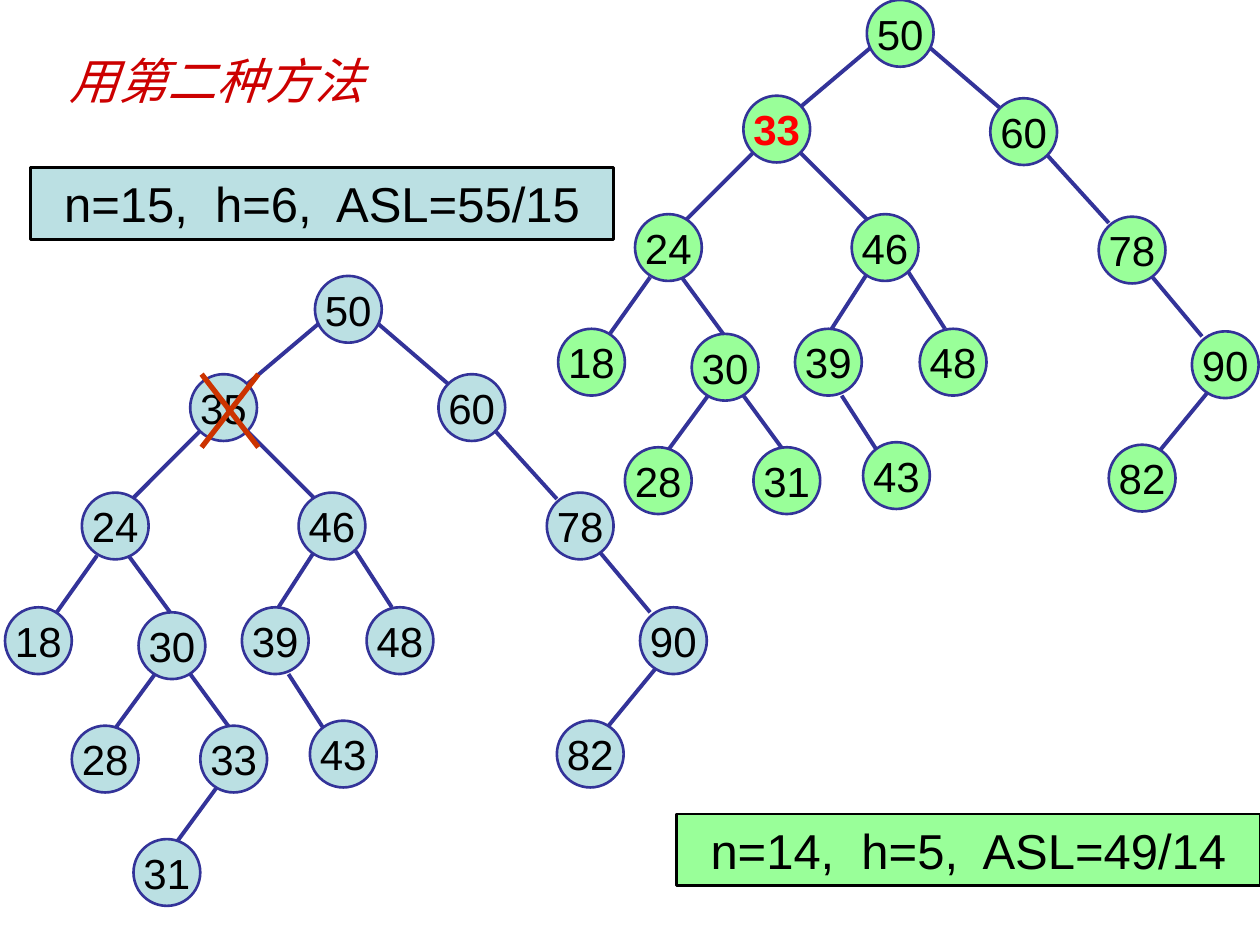
from dataclasses import dataclass

from lxml.etree import SubElement
from pptx import Presentation
from pptx.dml.color import RGBColor
from pptx.enum.shapes import MSO_CONNECTOR, MSO_SHAPE
from pptx.enum.text import MSO_ANCHOR, MSO_AUTO_SIZE, PP_ALIGN
from pptx.oxml.ns import qn
from pptx.util import Inches, Pt


@dataclass(frozen=True)
class Theme:
    blue: str = "BBE0E3"
    green: str = "99FF99"
    navy: str = "333399"
    ink: str = "000000"
    title: str = "CC0000"
    cross: str = "CC3300"
    highlight: str = "FF0000"
    body_font: str = "Arial"
    title_font: str = "Times New Roman"
    heading_size: int = 28
    key_size: int = 24
    outline: float = 1.5
    edge: float = 2.25
    strike: float = 3


COLUMNS, ROWS = 100, 75  # square grid cells, a tenth of an inch each
NODE = 5.3  # node diameter in cells

# Path from the root: node corner, edge start, edge end, in cells from the root's corner
LAYOUT = {
    "L": ((-9.9, 7.8), (0.4, 3.7), (-5.4, 8.6)),
    "R": ((9.8, 7.8), (4.9, 3.7), (10.6, 8.6)),
    "LL": ((-18.5, 17.2), (-9.1, 12.3), (-14.4, 17.6)),
    "LR": ((-1.3, 17.2), (-5.4, 12.3), (0, 17.7)),
    "RR": ((18.4, 17.2), (14.3, 12.3), (19.2, 17.7)),
    "LLL": ((-24.6, 26.3), (-17.3, 22.2), (-20.5, 26.7)),
    "LLR": ((-14, 26.7), (-14.8, 22.2), (-11.5, 26.7)),
    "LRL": ((-5.8, 26.3), (0, 21.8), (-2.9, 26.3)),
    "LRR": ((4.1, 26.3), (3.2, 21.8), (6.1, 26.3)),
    "RRR": ((25.8, 26.3), (22.5, 21.8), (26.6, 26.7)),
    "LLRL": ((-19.3, 35.7), (-12.7, 31.6), (-16, 36.1)),
    "LLRR": ((-9.1, 35.7), (-9.9, 31.6), (-6.6, 36.1)),
    "LRLR": ((-0.4, 35.3), (-2.1, 31.6), (0.8, 36.1)),
    "RRRL": ((19.2, 35.3), (27, 31.2), (23.3, 35.7)),
    "LLRRL": ((-14.4, 44.7), (-7.8, 40.6), (-11.1, 45.1)),
}

SHARED_KEYS = {
    "": 50, "R": 60, "RR": 78, "RRR": 90, "RRRL": 82,
    "LL": 24, "LLL": 18, "LLR": 30, "LLRL": 28,
    "LR": 46, "LRL": 39, "LRR": 48, "LRLR": 43,
}
BEFORE_DELETE = SHARED_KEYS | {"L": 35, "LLRR": 33, "LLRRL": 31}
AFTER_DELETE = SHARED_KEYS | {"L": 33, "LLRR": 31}


def write(frame, text, *, font, size, color, bold=False, italic=False):
    paragraph = frame.paragraphs[0]
    paragraph.alignment = PP_ALIGN.CENTER
    run = paragraph.add_run()
    run.text = text
    run.font.name = font
    run.font.size = Pt(size)
    run.font.bold = bold
    run.font.italic = italic
    run.font.color.rgb = RGBColor.from_string(color)


class TreeSlide:
    def __init__(self, deck, theme):
        self.theme = theme
        self.cell_width = deck.slide_width / COLUMNS
        self.cell_height = deck.slide_height / ROWS
        self.shapes = deck.slides.add_slide(deck.slide_layouts[6]).shapes

    def place(self, *cells):
        units = (self.cell_width, self.cell_height) * 2
        return [round(cell * unit) for cell, unit in zip(cells, units)]

    def filled(self, kind, area, fill, outline):
        shape = self.shapes.add_shape(kind, *self.place(*area))
        shape.shadow.inherit = False
        shape.fill.solid()
        shape.fill.fore_color.rgb = RGBColor.from_string(fill)
        shape.line.color.rgb = RGBColor.from_string(outline)
        shape.line.width = Pt(self.theme.outline)
        return shape

    def title(self, text, area):
        frame = self.shapes.add_textbox(*self.place(*area)).text_frame
        frame.word_wrap = True
        frame.auto_size = MSO_AUTO_SIZE.SHAPE_TO_FIT_TEXT
        write(frame, text, font=self.theme.title_font, italic=True,
              size=self.theme.heading_size, color=self.theme.title)

    def summary(self, text, area, fill):
        frame = self.filled(MSO_SHAPE.RECTANGLE, area, fill, self.theme.ink).text_frame
        frame.word_wrap = True
        frame.vertical_anchor = MSO_ANCHOR.TOP
        frame.auto_size = MSO_AUTO_SIZE.SHAPE_TO_FIT_TEXT
        write(frame, text, font=self.theme.body_font,
              size=self.theme.heading_size, color=self.theme.ink)

    def line(self, start, end, color, width):
        connector = self.shapes.add_connector(
            MSO_CONNECTOR.STRAIGHT, *self.place(*start, *end))
        connector.line.color.rgb = RGBColor.from_string(color)
        connector.line.width = Pt(width)
        SubElement(connector._element.spPr, qn("a:effectLst"))

    def node(self, key, corner, fill, highlighted):
        frame = self.filled(MSO_SHAPE.OVAL, (*corner, NODE, NODE),
                            fill, self.theme.navy).text_frame
        frame.word_wrap = False
        frame.vertical_anchor = MSO_ANCHOR.MIDDLE
        write(frame, str(key), font=self.theme.body_font, size=self.theme.key_size,
              color=self.theme.highlight if highlighted else self.theme.ink,
              bold=highlighted)

    def tree(self, keys, root, fill, left_shift=(0, 0), highlighted=None):
        def locate(point, shifted):
            shift = left_shift if shifted else (0, 0)
            return [sum(parts) for parts in zip(root, point, shift)]

        # Edges lie under the nodes; the left subtree may sit slightly apart
        for path in keys:
            if path:
                _, start, end = LAYOUT[path]
                shifted = path.startswith("L") and path != "L"
                self.line(locate(start, shifted), locate(end, shifted),
                          self.theme.navy, self.theme.edge)
        for path, key in keys.items():
            corner = LAYOUT[path][0] if path else (0, 0)
            self.node(key, locate(corner, path.startswith("L")), fill,
                      path == highlighted)

    def cross_out(self, left, top, right, bottom):
        for start, end in (((left, top), (right, bottom)),
                           ((right, top), (left, bottom))):
            self.line(start, end, self.theme.cross, self.theme.strike)


def main():
    deck = Presentation()
    deck.slide_width, deck.slide_height = Inches(10), Inches(7.5)
    theme = Theme()
    slide = TreeSlide(deck, theme)

    # Tree before the deletion, with the deleted key crossed out
    slide.summary("n=15,  h=6,  ASL=55/15", (2.4, 13.3, 46.3, 5.7), theme.blue)
    slide.tree(BEFORE_DELETE, (25, 21.9), theme.blue)
    slide.cross_out(16, 29.7, 20.5, 35.5)

    # Tree after the deletion, with the replacement key highlighted
    slide.summary("n=14,  h=5,  ASL=49/14", (53.7, 64.6, 46.3, 5.7), theme.green)
    slide.tree(AFTER_DELETE, (68.8, 0), theme.green,
               left_shift=(0.1, -0.2), highlighted="L")

    # Title
    slide.title("用第二种方法", (4.1, 3.5, 26.2, 5.7))

    deck.save("out.pptx")


if __name__ == "__main__":
    main()
